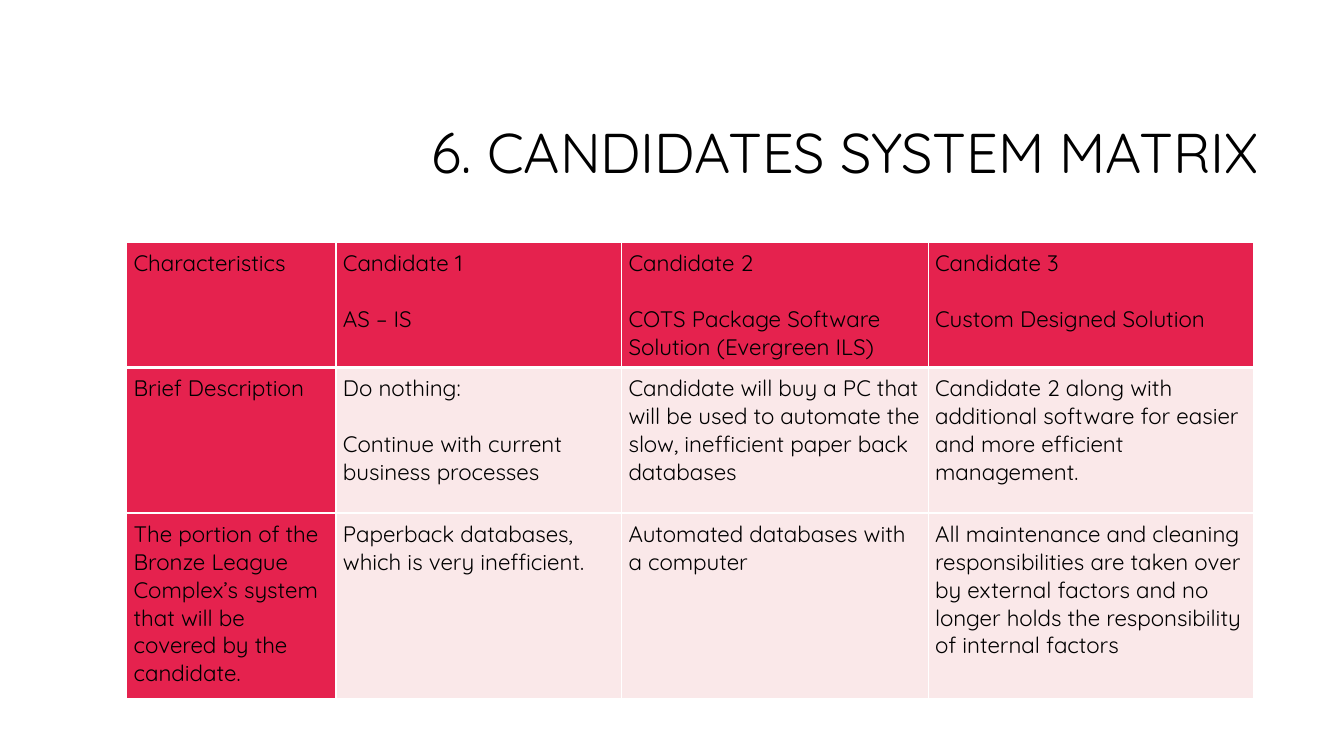
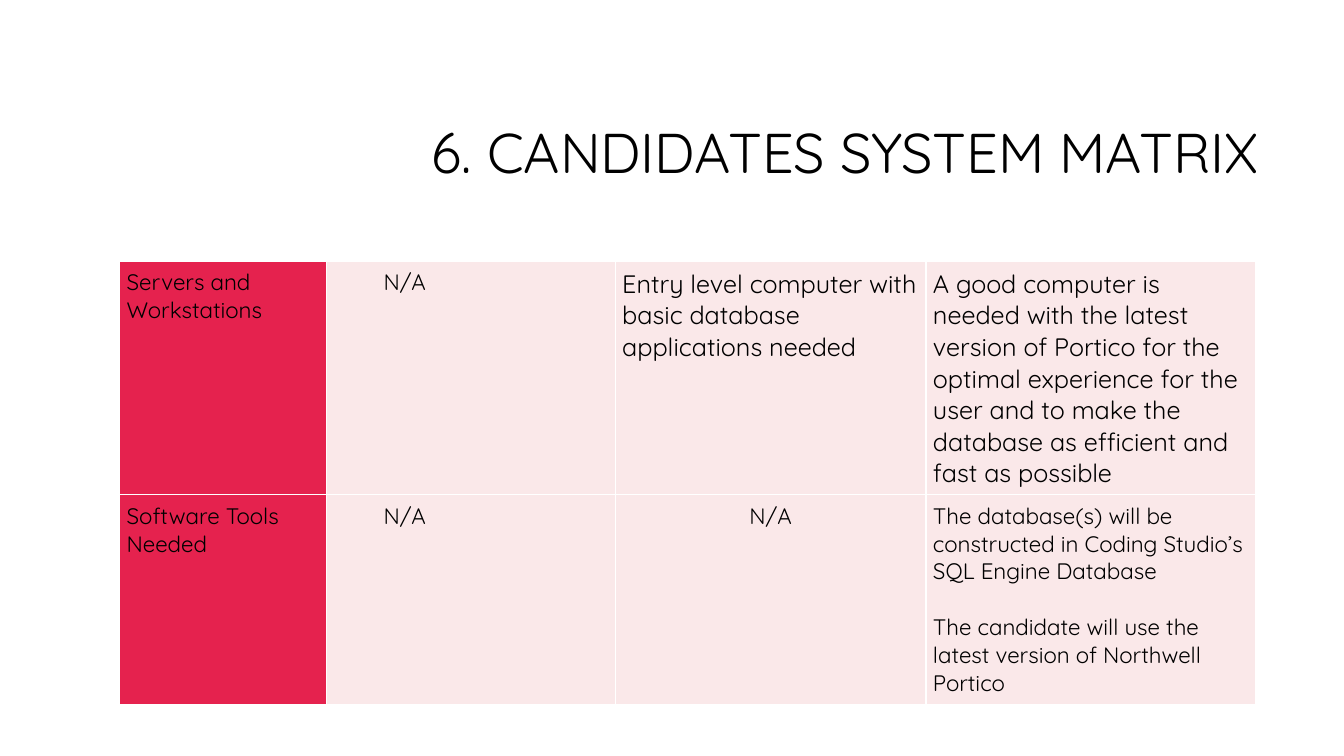
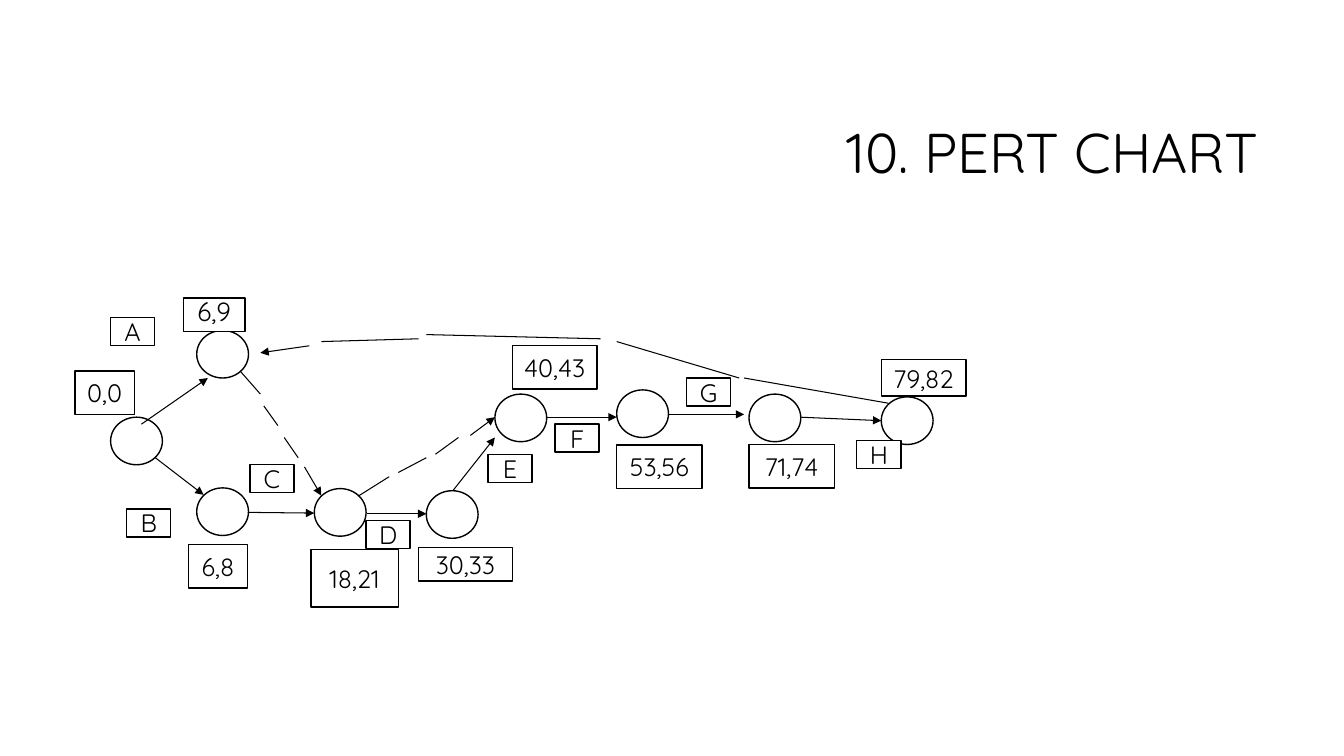
from pptx import Presentation
from pptx.dml.color import RGBColor
from pptx.enum.shapes import MSO_CONNECTOR, MSO_SHAPE
from pptx.enum.text import MSO_ANCHOR, PP_ALIGN
from pptx.oxml import parse_xml
from pptx.oxml.ns import nsdecls
from pptx.util import Pt

FONT = "Quicksand"
BLACK = RGBColor(0x00, 0x00, 0x00)
WHITE = RGBColor(0xFF, 0xFF, 0xFF)
RED = RGBColor(0xE5, 0x22, 0x4E)
PINK = RGBColor(0xFA, 0xE8, 0xE9)

RIGHT = 906  # right edge of every title
PAD = 5      # cell margin
MATRIX = "6. CANDIDATES SYSTEM MATRIX"

# Table text, one paragraph per line
PLANS = [
    ["Characteristics",
     "Candidate 1\nAS – IS",
     "Candidate 2\nCOTS Package Software Solution (Evergreen ILS)",
     "Candidate 3\nCustom Designed Solution"],
    ["Brief Description",
     "Do nothing:\nContinue with current business processes",
     "Candidate will buy a PC that will be used to automate the slow, "
     "inefficient paper back databases",
     "Candidate 2 along with additional software for easier and more "
     "efficient management."],
    ["The portion of the Bronze League Complex’s system that will be "
     "covered by the candidate.",
     "Paperback databases, which is very inefficient.",
     "Automated databases with a computer",
     "All maintenance and cleaning responsibilities are taken over by "
     "external factors and no longer holds the responsibility of internal "
     "factors"],
]
TOOLS = [
    ["Servers and Workstations",
     "N/A",
     "Entry level computer with basic database applications needed",
     "A good computer is needed with the latest version of Portico for the "
     "optimal experience for the user and to make the database as efficient "
     "and fast as possible"],
    ["Software Tools Needed",
     "N/A",
     "N/A",
     "The database(s) will be constructed in Coding Studio’s SQL Engine "
     "Database\n"
     "The candidate will use the latest version of Northwell Portico"],
]
# Cells of TOOLS that differ from the usual look
LOOKS = {
    (0, 1): {"indent": 36},
    (0, 2): {"size": 18},
    (0, 3): {"size": 18},
    (1, 1): {"indent": 36},
    (1, 2): {"align": PP_ALIGN.CENTER},
}

# PERT chart: left and top of each event
EVENTS = [(79, 298), (140.5, 236), (140.5, 348.5), (224.5, 349),
          (304.5, 350.5), (353.5, 281.5), (440.5, 278.5), (535, 281.5),
          (629.5, 283.5)]
# Each trail is a row of strokes; the last one has the arrowhead
TRAILS = [
    [(101, 303, 148.5, 270)],
    [(111, 327, 145.5, 353.5)],
    [(177, 366, 224.5, 366.5)],
    [(262, 367, 304.5, 367)],
    [(323.5, 350.5, 353.5, 312.5)],
    [(390, 298, 440.5, 298)],
    [(477.5, 296, 531.5, 296)],
    [(571.5, 298, 629.5, 300.5)],
    [(171.5, 265, 186, 281.5), (188.5, 290, 198.5, 304),
     (203, 312.5, 213, 327), (217.5, 333.5, 229.5, 354)],
    [(256.5, 354, 278, 340.5), (284.5, 337.5, 304.5, 327),
     (311, 324.5, 327.5, 312.5), (336, 311, 353.5, 298)],
    [(634.5, 288, 531.5, 270), (528, 270, 440.5, 244),
     (429, 242, 304.5, 239), (299, 242, 229.5, 244),
     (221, 247, 186, 252)],
]
TIMES = [
    ("0,0", 53.5, 265, 42.5, 31),
    ("6,8", 134.5, 389, 42.5, 31),
    ("18,21", 222, 392.5, 62.5, 41),
    ("30,33", 299, 391, 67, 24),
    ("40,43", 366, 247, 60.5, 31),
    ("53,56", 440.5, 318, 61, 31),
    ("71,74", 535, 317.5, 61, 31),
    ("79,82", 629.5, 257, 60.5, 26),
]
TASKS = {"A": (79, 227), "B": (90.5, 363.5), "C": (178.5, 332),
         "D": (261.5, 372), "E": (348.5, 324.5), "F": (396.5, 303),
         "G": (490.5, 270), "H": (612, 314.5)}


def write(para, text, size, align=PP_ALIGN.LEFT):
    para.alignment = align
    run = para.add_run()
    run.text = text
    font = run.font
    font.name, font.size, font.bold = FONT, Pt(size), False
    font.color.rgb = BLACK


def title(slide, text, left=250):
    box = slide.shapes.add_textbox(Pt(left), Pt(60.5), Pt(RIGHT - left),
                                   Pt(101.5))
    frame = box.text_frame
    frame.word_wrap = True
    frame.vertical_anchor = MSO_ANCHOR.MIDDLE
    para = frame.paragraphs[0]
    para.line_spacing = 0.9
    write(para, text, 40, PP_ALIGN.RIGHT)


def border(cell, side, width):
    cell._tc.get_or_add_tcPr().append(parse_xml(
        f'<a:ln{side} {nsdecls("a")} w="{Pt(width)}"><a:solidFill>'
        f'<a:srgbClr val="{WHITE}"/></a:solidFill></a:ln{side}>'))


def fill_cell(cell, text, color, foot, size=16, indent=0,
              align=PP_ALIGN.LEFT):
    cell.margin_left = cell.margin_right = Pt(PAD)
    cell.margin_top = cell.margin_bottom = Pt(PAD)
    for side in "LRT":
        border(cell, side, 1)
    border(cell, "B", foot)
    cell.fill.solid()
    cell.fill.fore_color.rgb = color
    frame = cell.text_frame
    for i, line in enumerate(text.split("\n")):
        para = frame.add_paragraph() if i else frame.paragraphs[0]
        if i:
            para.space_before = Pt(12)
        para.space_after = Pt(8)
        if indent:
            para._p.get_or_add_pPr().set("marL", str(Pt(indent)))
        write(para, line, size, align)


def grid(slide, left, top, cols, rows, data, head=False, looks=None):
    looks = looks or {}
    table = slide.shapes.add_table(
        len(rows), len(cols), Pt(left), Pt(top), Pt(sum(cols)),
        Pt(sum(rows))).table
    table.first_row = head
    table.horz_banding = False
    for col, width in zip(table.columns, cols):
        col.width = Pt(width)
    for row, height in zip(table.rows, rows):
        row.height = Pt(height)
    for r, line in enumerate(data):
        for c, text in enumerate(line):
            top_row = head and r == 0
            fill_cell(table.cell(r, c), text,
                      RED if top_row or c == 0 else PINK,
                      3 if top_row else 1, **looks.get((r, c), {}))


def outline(slide, kind, left, top, width, height):
    shape = slide.shapes.add_shape(kind, Pt(left), Pt(top), Pt(width),
                                   Pt(height))
    shape.shadow.inherit = False
    shape.fill.solid()
    shape.fill.fore_color.rgb = WHITE
    shape.line.color.rgb = BLACK
    shape.line.width = Pt(1)
    return shape


def label(slide, text, left, top, width, height, size=18, pitch=1.0):
    shape = outline(slide, MSO_SHAPE.RECTANGLE, left, top, width, height)
    frame = shape.text_frame
    frame.vertical_anchor = MSO_ANCHOR.MIDDLE
    para = frame.paragraphs[0]
    para.line_spacing = pitch
    write(para, text, size, PP_ALIGN.CENTER)


def stroke(slide, ends, arrow):
    line = slide.shapes.add_connector(MSO_CONNECTOR.STRAIGHT,
                                      *(Pt(n) for n in ends))
    line.line.color.rgb = BLACK
    line.line.width = Pt(0.75)
    if arrow:
        line.line._get_or_add_ln().append(parse_xml(
            f'<a:tailEnd {nsdecls("a")} type="triangle"/>'))
    line._element.spPr.append(parse_xml(f'<a:effectLst {nsdecls("a")}/>'))


def pert(slide):
    for left, top in EVENTS:
        outline(slide, MSO_SHAPE.OVAL, left, top, 37, 34)
    for trail in TRAILS:
        for i, ends in enumerate(trail, 1):
            stroke(slide, ends, i == len(trail))
    label(slide, "6,9", 131, 213, 44, 24, 18.7, 0.7)
    for time in TIMES:
        label(slide, *time)
    for name, (left, top) in TASKS.items():
        label(slide, name, left, top, 31.5, 20)


def main():
    deck = Presentation()
    deck.slide_width, deck.slide_height = Pt(960), Pt(540)
    first, second, third = (
        deck.slides.add_slide(deck.slide_layouts[6]) for _ in range(3))

    # Candidates matrix, first part
    title(first, MATRIX)
    grid(first, 90.5, 173, [149.5, 204, 219, 232.5], [89.5, 104, 132.5],
         PLANS, head=True)

    # Candidates matrix, second part
    title(second, MATRIX)
    grid(second, 85.5, 186.5, [147.5, 206.5, 222, 235.5], [167, 149.5],
         TOOLS, looks=LOOKS)

    # PERT chart
    title(third, "10. PERT CHART", 228)
    pert(third)

    deck.save("out.pptx")


if __name__ == "__main__":
    main()
